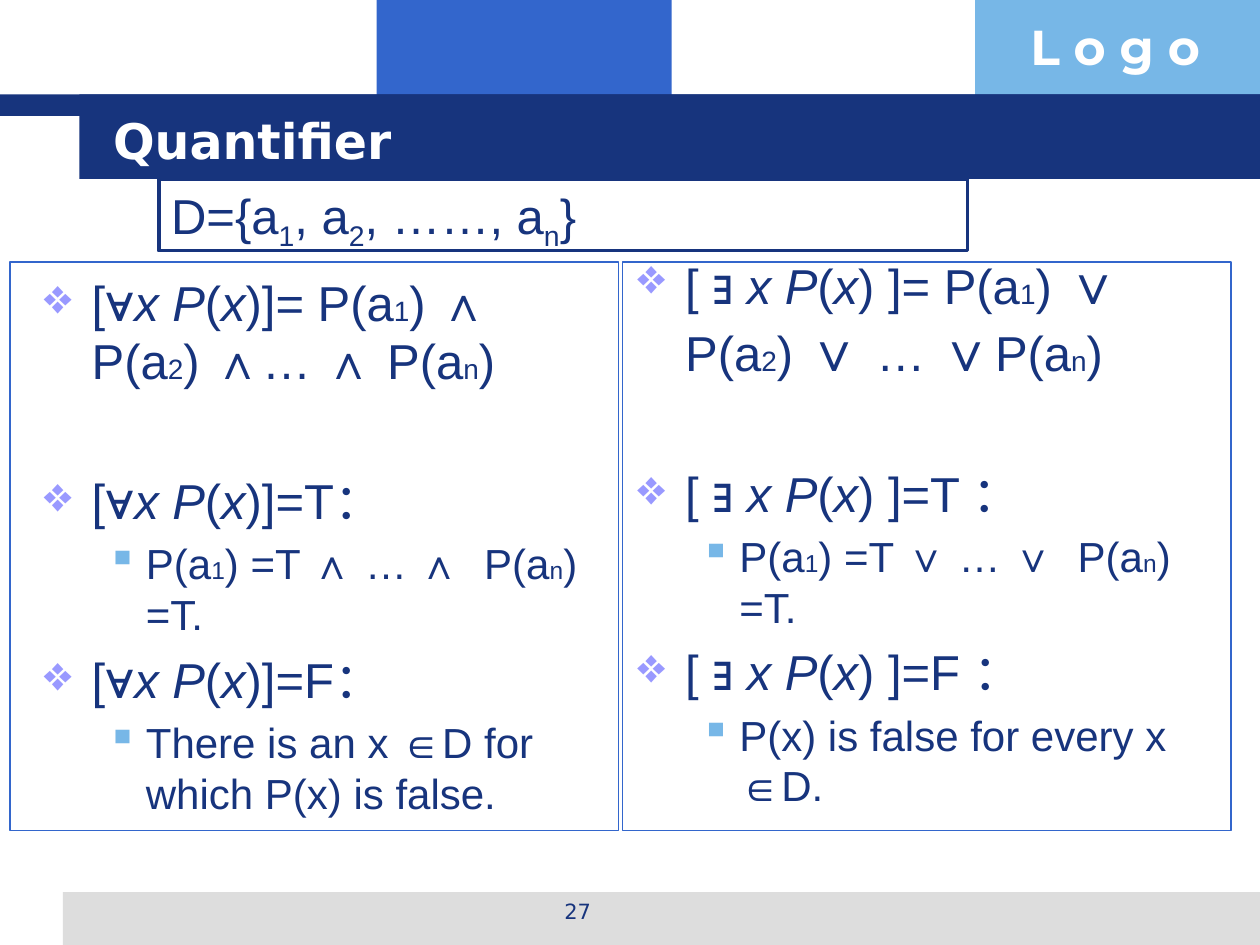
from lxml import etree
from pptx import Presentation
from pptx import util as u
from pptx.dml.color import RGBColor
from pptx.enum import shapes, text
from pptx.oxml.ns import qn

COLORS = {"navy": "17347D", "blue": "3366CC", "sky": "77B7E7",
          "gray": "DDDDDD", "lilac": "9999FF", "white": "FFFFFF"}
WIDTH, HEIGHT = 10, 7.5

# Formula markup: *italic*, _small index_, ^large symbol^
DOMAIN = "D={a_1_, a_2_, ……, a_n_}"
# (outline level, formula, extra points above)
UNIVERSAL = [
    (0, "[∀*x P*(*x*)]= P(a_1_) ∧ P(a_2_) ∧… ∧ P(a_n_)", 0),
    (0, "[∀*x P*(*x*)]=T：", 40),
    (1, "P(a_1_) =T ∧ … ∧  P(a_n_) =T.", 0),
    (0, "[∀*x P*(*x*)]=F：", 0),
    (1, "There is an x ∈D for which P(x) is false.", 0),
]
EXISTENTIAL = [
    (0, "[ ∃ *x P*(*x*) ]= P(a_1_) ^∨^ P(a_2_) ^∨^ … ^∨^P(a_n_)", 0),
    (0, "[ ∃ *x P*(*x*) ]=T ：", 40),
    (1, "P(a_1_) =T ∨ … ∨  P(a_n_) =T.", 0),
    (0, "[ ∃ *x P*(*x*) ]=F ：", 0),
    (1, "P(x) is false for every x ∈D.", 0),
]
# Per outline level: text size, index size, left margin, hang, bullet, bullet colour
LEVELS = [(28, 16, 0.38, 0.38, "❖", "lilac"), (24, 14, 0.81, 0.31, "▪", "sky")]

# Bands: left, top, width, height, colour
BANDS = [(2.99, 0, 2.34, 0.92, "blue"), (7.74, 0, 2.26, 0.92, "sky"),
         (0.5, 7.08, 9.5, 0.42, "gray"), (0, 0.75, WIDTH, 0.17, "navy"),
         (0.63, 0.75, 9.37, 0.67, "navy")]
FRAME_LEFTS, FRAME_TOP, FRAME_SIZE = (4.94, 0.08), 2.08, (4.83, 4.51)

prs = Presentation()
prs.slide_width, prs.slide_height = u.Inches(WIDTH), u.Inches(HEIGHT)
slide = prs.slides.add_slide(prs.slide_layouts[6])


def rgb(name):
    return RGBColor.from_string(COLORS[name])


def add_rect(left, top, width, height, fill=None, line=None, weight=0.75):
    rect = slide.shapes.add_shape(shapes.MSO_SHAPE.RECTANGLE,
                                  *map(u.Inches, (left, top, width, height)))
    rect.shadow.inherit = False
    if fill:
        rect.fill.solid()
        rect.fill.fore_color.rgb = rgb(fill)
    else:
        rect.fill.background()
    if line:
        rect.line.color.rgb = rgb(line)
        rect.line.width = u.Pt(weight)
    else:
        rect.line.fill.background()
    return rect


def add_box(left, top, width, height, anchor=text.MSO_ANCHOR.TOP):
    frame = slide.shapes.add_textbox(
        *map(u.Inches, (left, top, width, height))).text_frame
    frame.word_wrap = True
    frame.vertical_anchor = anchor
    return frame


def split_markup(formula):
    """Yield (piece, mark), where mark is '' for plain text."""
    piece, mark = "", ""
    for char in formula:
        if char in "*_^":
            if piece:
                yield piece, mark
            piece, mark = "", "" if mark else char
        else:
            piece += char
    if piece:
        yield piece, mark


def write(paragraph, content, size=28, font="Arial", color="navy", bold=False,
          align=text.PP_ALIGN.LEFT, index_size=None):
    """Write marked-up text; an index without its own size becomes a subscript."""
    paragraph.alignment = align
    for piece, mark in split_markup(content):
        run = paragraph.add_run()
        run.text = piece
        run.font.name, run.font.bold = font, bold
        run.font.italic = mark == "*"
        run.font.color.rgb = rgb(color)
        run.font.size = u.Pt(size + 4 if mark == "^" else size)
        if mark == "_":
            if index_size:
                run.font.size = u.Pt(index_size)
            else:
                run.font._element.set("baseline", "-25000")


def add_bullet(paragraph, margin, hang, char, color):
    props = paragraph._p.get_or_add_pPr()
    props.set("marL", str(u.Inches(margin)))
    props.set("indent", str(-u.Inches(hang)))
    tint = etree.SubElement(props, qn("a:buClr"))
    etree.SubElement(tint, qn("a:srgbClr"), val=COLORS[color])
    etree.SubElement(props, qn("a:buChar"), char=char)


def write_outline(frame, items):
    for number, (level, formula, gap) in enumerate(items):
        size, index_size, *bullet = LEVELS[level]
        paragraph = frame.add_paragraph() if number else frame.paragraphs[0]
        paragraph.level = level
        add_bullet(paragraph, *bullet)
        if number:
            paragraph.space_before = u.Pt(round(0.2 * size) + gap)
        write(paragraph, formula, size, index_size=index_size)


for *place, color in BANDS:
    add_rect(*place, fill=color)
write(add_box(8.08, 0.08, 1.93, 0.57).paragraphs[0], "L o g o",
      font="Montserrat", color="white", bold=True)
write(add_box(3.42, 7.08, 2.33, 0.35).paragraphs[0], "27", size=12,
      font="DejaVu Sans", align=text.PP_ALIGN.CENTER)
write(add_box(0.8, 0.8, 8.53, 0.62, text.MSO_ANCHOR.MIDDLE).paragraphs[0],
      "Quantifier", font="DejaVu Sans", color="white", bold=True)

write_outline(add_box(0.25, 2.11, 4.67, 4.64), UNIVERSAL)
write_outline(add_box(4.96, 1.92, 4.92, 5.34), EXISTENTIAL)
for left in FRAME_LEFTS:
    add_rect(left, FRAME_TOP, *FRAME_SIZE, line="blue")

domain = add_rect(1.26, 1.42, 6.42, 0.57, "white", "navy", 2).text_frame
domain.vertical_anchor = text.MSO_ANCHOR.TOP
write(domain.paragraphs[0], DOMAIN)

prs.save("out.pptx")
